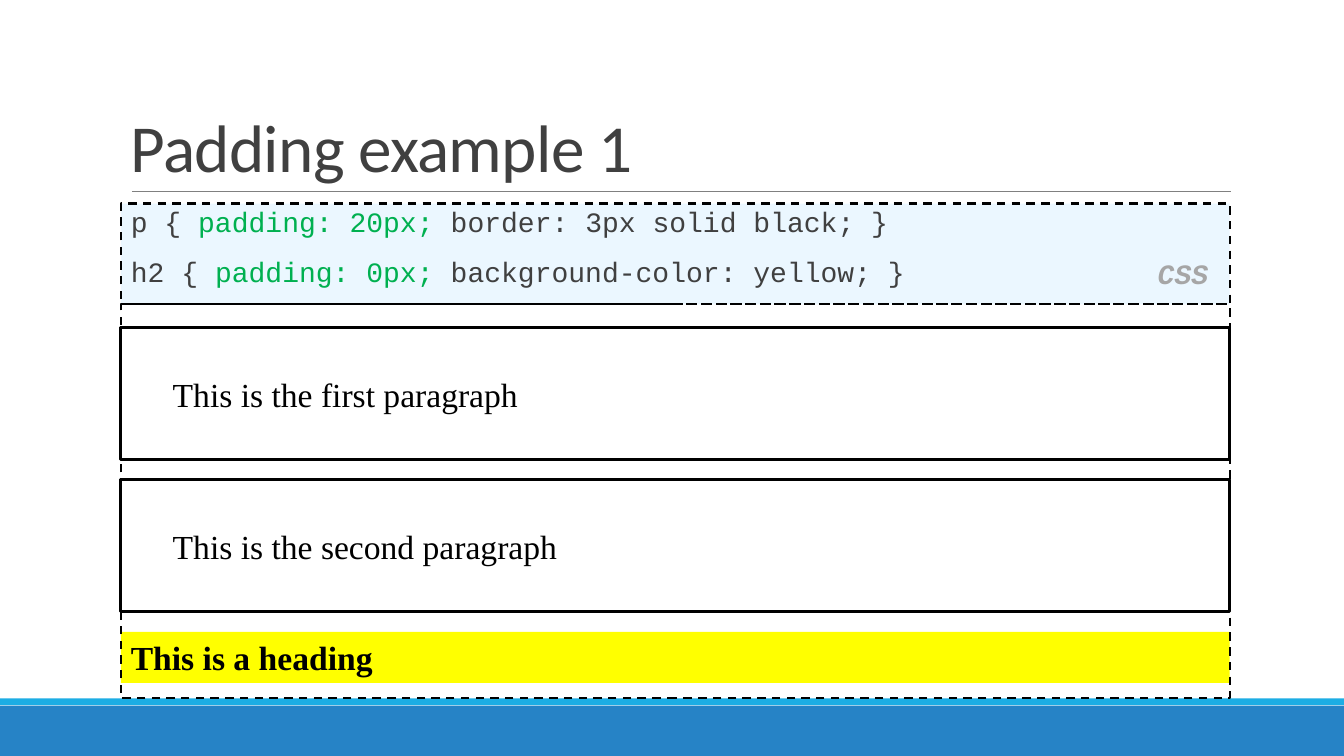
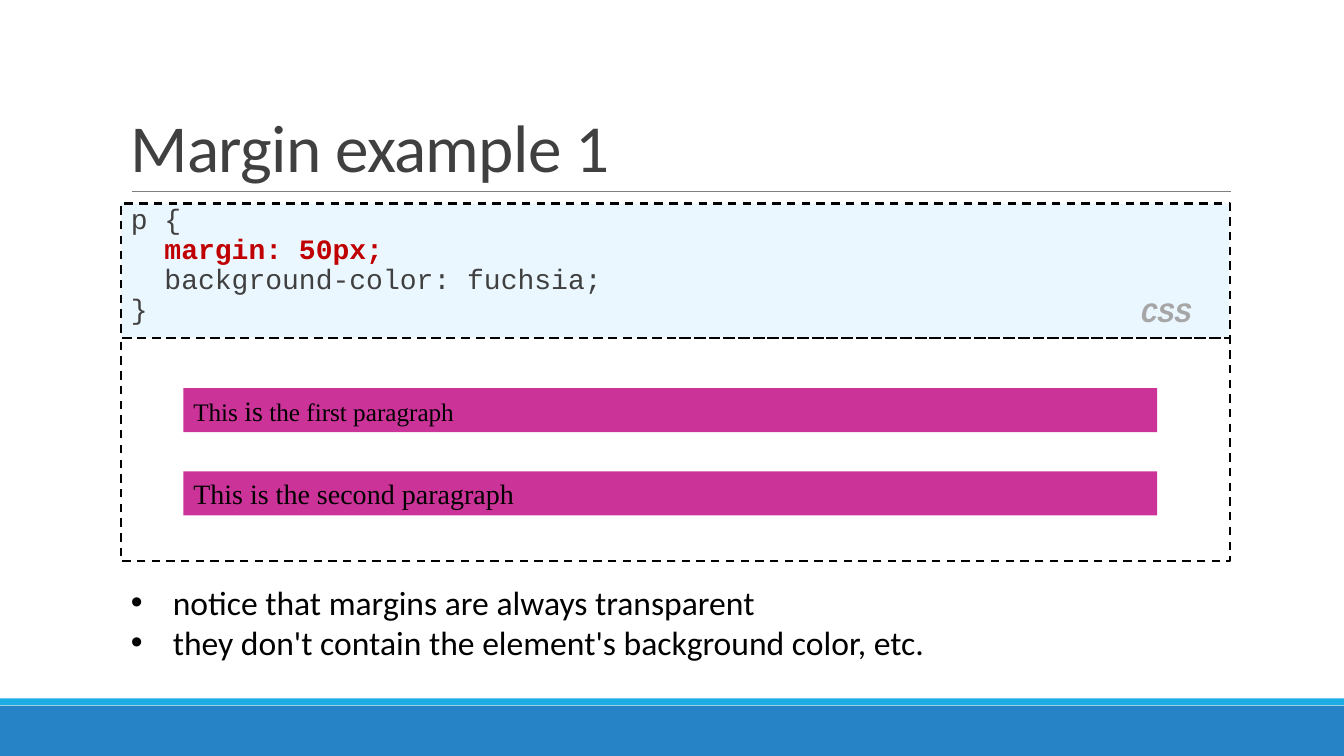
from lxml import etree
from pptx import Presentation
from pptx.dml.color import RGBColor
from pptx.enum import dml, shapes, text
from pptx.oxml import ns
from pptx.util import Pt

BODY, CODE, PAGE = "Calibri", "Courier New", "Times New Roman"
BLACK, GREY, SILVER = "000000", "404040", "A6A6A6"
GREEN, RED, PALE, YELLOW, PINK = "00B050", "C00000", "EBF7FF", "FFFF00", "CC3399"
LEFT, WIDTH, TOP, INSET = 86.4, 792, 145.4, 7.2
rgb = RGBColor.from_string


def box(s, x, y, w, h, fill=None, line=None, dashed=False, inset=INSET):
    """Add a rectangle, ready for left-aligned text in its middle."""
    sp = s.shapes.add_shape(shapes.MSO_SHAPE.RECTANGLE, Pt(x), Pt(y), Pt(w), Pt(h))
    sp.shadow.inherit = False
    if fill:
        sp.fill.solid()
        sp.fill.fore_color.rgb = rgb(fill)
    else:
        sp.fill.background()
    if line:
        sp.line.color.rgb = rgb(BLACK)
        sp.line.width = Pt(line)
        if dashed:
            sp.line.dash_style = dml.MSO_LINE.DASH
    else:
        sp.line.fill.background()
    sp.text_frame.margin_left = Pt(inset)
    sp.text_frame.paragraphs[0].alignment = text.PP_ALIGN.LEFT
    return sp


def write(p, words, font, size, color=BLACK, bold=False, italic=False):
    """Add one run to a paragraph."""
    r = p.add_run()
    r.text = words
    r.font.name, r.font.size = font, Pt(size)
    r.font.bold, r.font.italic = bold, italic
    r.font.color.rgb = rgb(color)
    return r


prs = Presentation()
prs.slide_width, prs.slide_height = Pt(960), Pt(540)

# A code line is its indent in points and its runs: words, colour, bold.
frames = [
    {"title": "Padding example 1", "height": 72, "spacing": 0.9, "before": 12,
     "label_right": 863, "label_top": 183.5,
     "code": [
         (0, [("p { ", GREY, False), ("padding: 20px; ", GREEN, False),
              ("border: 3px solid black; }", GREY, False)]),
         (0, [("h2 { ", GREY, False), ("padding: 0px; ", GREEN, False),
              ("background-color: yellow; }", GREY, False)])]},
    {"title": "Margin example 1", "height": 95.8, "spacing": 0.8, "before": 0,
     "label_right": 851, "label_top": 210.5,
     "code": [
         (0, [("p {", GREY, False)]),
         (24, [("margin: 50px;", RED, True)]),
         (24, [("background-color: fuchsia;", GREY, False)]),
         (0, [("}", GREY, False)])]},
]

# Shared frame: bands, title, rule and code panel
slides = []
for frame in frames:
    s = prs.slides.add_slide(prs.slide_layouts[6])
    slides.append(s)
    box(s, 0, 504, 960, 36, "2683C6")
    box(s, 0, 498.8, 960, 4.8, "1CADE4")

    rule = s.shapes.add_connector(shapes.MSO_CONNECTOR.STRAIGHT,
                                  Pt(94.3), Pt(136.8), Pt(879), Pt(136.8))
    rule.line.color.rgb = rgb("808080")
    rule.line.width = Pt(0.5)
    etree.SubElement(rule._element.spPr, ns.qn("a:effectLst"))

    tf = s.shapes.add_textbox(Pt(LEFT), Pt(22.3), Pt(WIDTH), Pt(114.5)).text_frame
    tf.word_wrap = True
    tf.vertical_anchor = text.MSO_ANCHOR.BOTTOM
    p = tf.paragraphs[0]
    p.line_spacing = 0.85
    r = write(p, frame["title"], BODY, 48, GREY)
    r.font._element.set("spc", "-50")

    tf = box(s, LEFT, TOP, WIDTH, frame["height"], PALE, 1.5, True).text_frame
    tf.vertical_anchor = text.MSO_ANCHOR.TOP
    for i, (indent, runs) in enumerate(frame["code"]):
        p = tf.add_paragraph() if i else tf.paragraphs[0]
        p.alignment = text.PP_ALIGN.LEFT
        p.line_spacing = frame["spacing"]
        p.space_before, p.space_after = Pt(frame["before"]), Pt(2)
        p._p.get_or_add_pPr().set("marL", str(Pt(indent)))
        for words, color, bold in runs:
            write(p, words, CODE, 20, color, bold)

    label = s.shapes.add_textbox(Pt(frame["label_right"] - 60), Pt(frame["label_top"]),
                                 Pt(60), Pt(23))
    tf = label.text_frame
    tf.word_wrap = True
    tf.margin_left = tf.margin_right = tf.margin_top = tf.margin_bottom = 0
    tf.paragraphs[0].alignment = text.PP_ALIGN.RIGHT
    write(tf.paragraphs[0], "CSS", CODE, 20, SILVER, True, True)

padding, margin = slides

# Padding: two bordered paragraphs and a heading, 108.7 apart
for i, words in enumerate(["This is the first paragraph", "This is the second paragraph"]):
    sp = box(padding, LEFT, 234 + i * 108.7, WIDTH, 94.3, line=2.25, inset=37)
    write(sp.text_frame.paragraphs[0], words, PAGE, 24)
sp = box(padding, LEFT, 451.4, WIDTH, 36.4, YELLOW)
write(sp.text_frame.paragraphs[0], "This is a heading", PAGE, 24, bold=True)
box(padding, LEFT, 217.4, WIDTH, 281.4, line=1.5, dashed=True)

# Margin: two filled paragraphs inside a dashed page
box(margin, LEFT, 241.2, WIDTH, 159.8, line=1.5, dashed=True)
bars = [[("This ", 18), ("is", 20), (" the first paragraph", 18)],
        [("This is the second paragraph", 20)]]
for i, runs in enumerate(bars):
    sp = box(margin, 131, 277.2 + i * 59.5, 695.5, 31.5, PINK)
    for words, size in runs:
        write(sp.text_frame.paragraphs[0], words, PAGE, size)

tf = margin.shapes.add_textbox(Pt(LEFT), Pt(411.8), Pt(WIDTH), Pt(65.5)).text_frame
tf.word_wrap = True
notes = ["notice that margins are always transparent",
         "they don't contain the element's background color, etc."]
for i, words in enumerate(notes):
    p = tf.add_paragraph() if i else tf.paragraphs[0]
    pPr = p._p.get_or_add_pPr()
    pPr.set("marL", str(Pt(30)))
    pPr.set("indent", str(-Pt(30)))
    etree.SubElement(pPr, ns.qn("a:buFont")).set("typeface", "Arial")
    etree.SubElement(pPr, ns.qn("a:buChar")).set("char", "•")
    write(p, words, BODY, 24)

prs.save("out.pptx")
